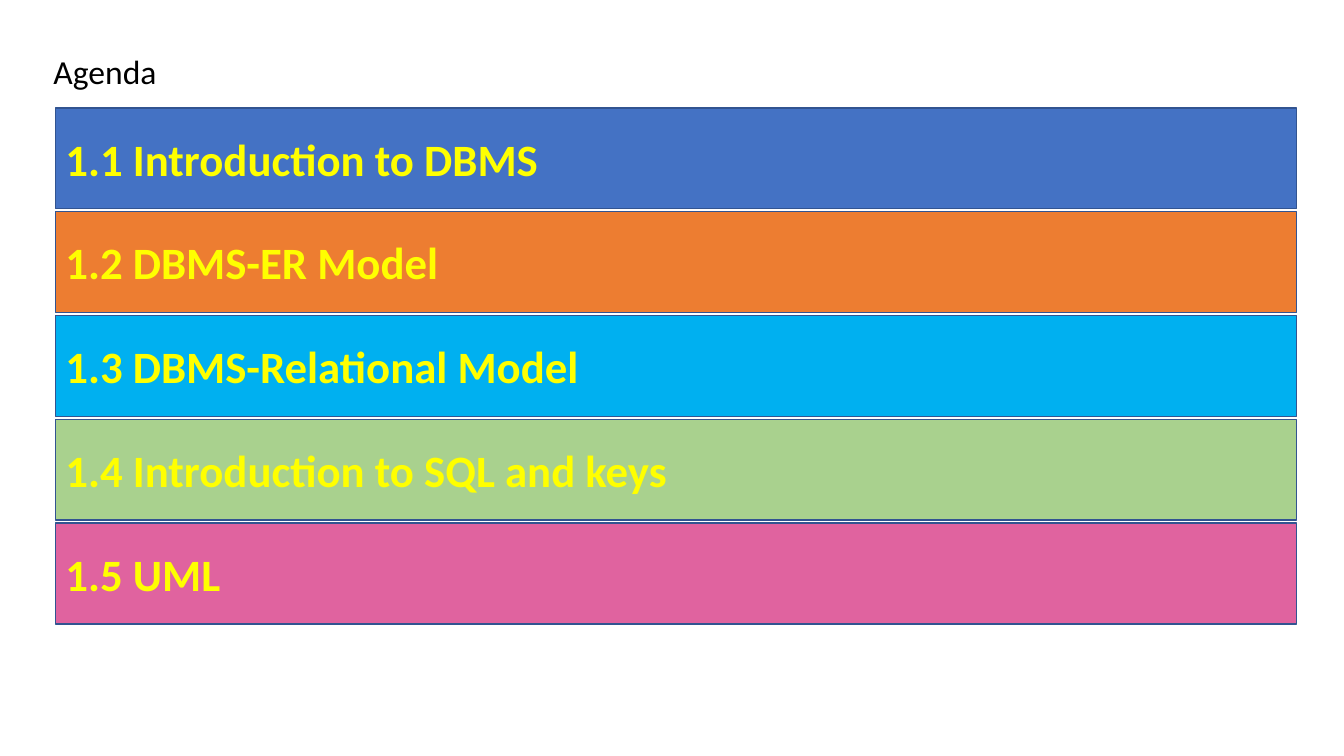
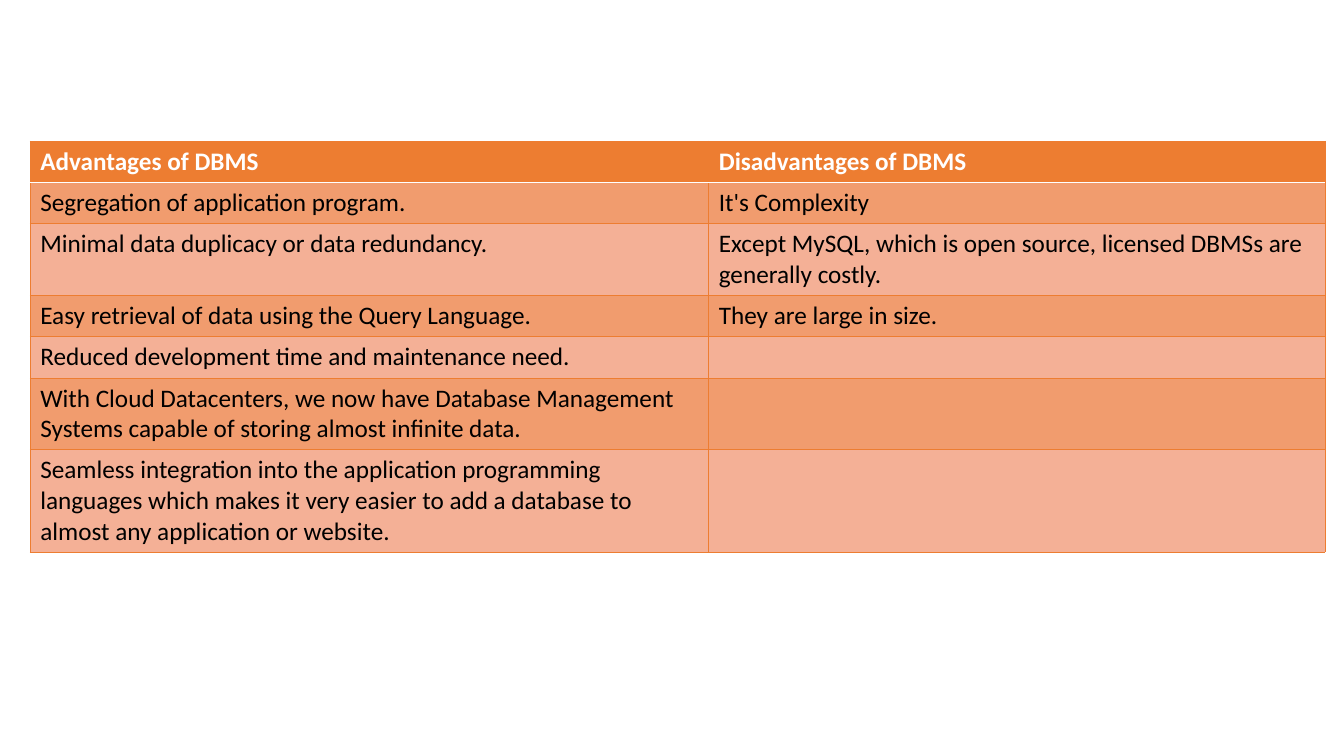
from lxml import etree
from pptx import Presentation
from pptx.dml.color import RGBColor
from pptx.enum.shapes import MSO_SHAPE
from pptx.enum.text import MSO_ANCHOR, MSO_AUTO_SIZE, PP_ALIGN
from pptx.oxml.ns import qn
from pptx.util import Inches, Pt

RECTANGLE = MSO_SHAPE.RECTANGLE
TOP, MIDDLE = MSO_ANCHOR.TOP, MSO_ANCHOR.MIDDLE
LEFT = PP_ALIGN.LEFT
NO_AUTOFIT = MSO_AUTO_SIZE.NONE
TITLE_ONLY, BLANK = 5, 6

FONT = "Calibri"
COLORS = {
    "black": "000000",
    "white": "FFFFFF",
    "yellow": "FFFF00",
    "outline": "325491",
    "blue": "4472C4",
    "orange": "ED7D31",
    "sky": "00B0F0",
    "green": "A9D18E",
    "pink": "E0639F",
    "row_dark": "F19C6E",
    "row_light": "F4B096",
}


def style_text(frame, size, color, bold=False):
    for para in frame.paragraphs:
        para.alignment = LEFT
        for span in para.runs:
            span.font.name = FONT
            span.font.size = Pt(size)
            span.font.bold = bold
            span.font.color.rgb = RGBColor.from_string(COLORS[color])


def add_border(cell, side, color, width):
    """Draw one cell edge; side is L, R, T or B, called in that order."""
    line = etree.SubElement(cell._tc.get_or_add_tcPr(), qn(f"a:ln{side}"), w=str(Pt(width)))
    fill = etree.SubElement(line, qn("a:solidFill"))
    etree.SubElement(fill, qn("a:srgbClr"), val=COLORS[color])


deck = Presentation()
deck.slide_width = Inches(13.33)
deck.slide_height = Inches(7.5)

# Agenda
page = deck.slides.add_slide(deck.slide_layouts[TITLE_ONLY])
title = page.shapes.title
title.left, title.top = Inches(0.43), Inches(0.45)
title.width, title.height = Inches(3), Inches(0.5)
title.text_frame.text = "Agenda"
title.text_frame.auto_size = NO_AUTOFIT
title.text_frame.vertical_anchor = TOP
style_text(title.text_frame, 24, "black")

BAND_LEFT, BAND_TOP = 0.55, 1.07
BAND_WIDTH, BAND_HEIGHT, BAND_STEP = 12.31, 1, 1.03
topics = [
    ("1.1 Introduction to DBMS", "blue"),
    ("1.2 DBMS-ER Model", "orange"),
    ("1.3 DBMS-Relational Model", "sky"),
    ("1.4 Introduction to SQL and keys", "green"),
    ("1.5 UML", "pink"),
]
for index, (topic, color) in enumerate(topics):
    band = page.shapes.add_shape(
        RECTANGLE, Inches(BAND_LEFT), Inches(BAND_TOP + index * BAND_STEP),
        Inches(BAND_WIDTH), Inches(BAND_HEIGHT))
    band.shadow.inherit = False
    band.fill.solid()
    band.fill.fore_color.rgb = RGBColor.from_string(COLORS[color])
    band.line.color.rgb = RGBColor.from_string(COLORS["outline"])
    band.line.width = Pt(1)
    band.text_frame.text = topic
    band.text_frame.word_wrap = True
    band.text_frame.vertical_anchor = MIDDLE
    style_text(band.text_frame, 32, "yellow", bold=True)

# Advantages and disadvantages
page = deck.slides.add_slide(deck.slide_layouts[BLANK])
COLUMN_WIDTHS = [6.73, 6.11]
LINE_HEIGHT, CELL_PADDING = 0.3, 0.11
# Each row: lines of text it holds, advantage, disadvantage
rows = [
    (1, "Advantages of DBMS", "Disadvantages of DBMS"),
    (1, "Segregation of application program.", "It's Complexity"),
    (2, "Minimal data duplicacy or data redundancy.",
     "Except MySQL, which is open source, licensed DBMSs are generally costly."),
    (1, "Easy retrieval of data using the Query Language.", "They are large in size."),
    (1, "Reduced development time and maintenance need.", ""),
    (2, "With Cloud Datacenters, we now have Database Management Systems "
     "capable of storing almost infinite data.", ""),
    (3, "Seamless integration into the application programming languages which makes "
     "it very easier to add a database to almost any application or website.", ""),
]
row_heights = [CELL_PADDING + lines * LINE_HEIGHT for lines, *_ in rows]
table = page.shapes.add_table(
    len(rows), len(COLUMN_WIDTHS), Inches(0.3), Inches(1.4),
    Inches(sum(COLUMN_WIDTHS)), Inches(sum(row_heights))).table
table.first_row = True
table.horz_banding = False
for column, width in zip(table.columns, COLUMN_WIDTHS):
    column.width = Inches(width)

for row_index, (lines, *texts) in enumerate(rows):
    table.rows[row_index].height = Inches(row_heights[row_index])
    is_header = row_index == 0
    if is_header:
        fill_color = "orange"
    else:
        fill_color = "row_dark" if row_index % 2 else "row_light"
    for column_index, text in enumerate(texts):
        cell = table.cell(row_index, column_index)
        for side in "LRTB":
            under_header = (is_header and side == "B") or (row_index == 1 and side == "T")
            if under_header:
                add_border(cell, side, "white", 1)
            else:
                add_border(cell, side, "orange", 0.5)
        cell.fill.solid()
        cell.fill.fore_color.rgb = RGBColor.from_string(COLORS[fill_color])
        cell.text_frame.text = text
        style_text(cell.text_frame, 18, "white" if is_header else "black", bold=is_header)

deck.save("out.pptx")
